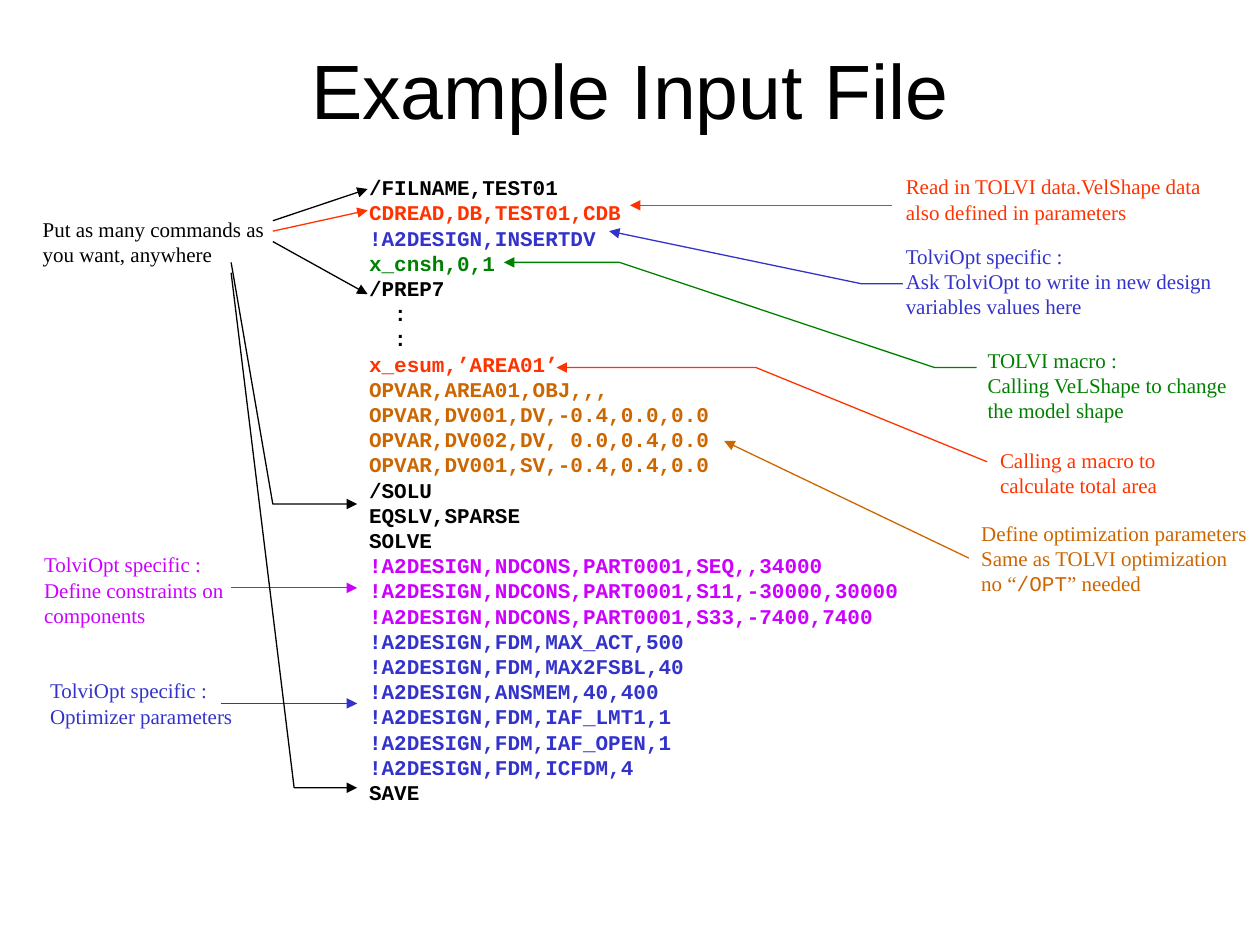
"""Build the slide of an annotated example input file."""
import pptx
import pptx.util
import pptx.dml.color
import pptx.enum.shapes
import pptx.enum.text
import pptx.oxml
import pptx.oxml.ns

Cm = pptx.util.Cm
Pt = pptx.util.Pt
RGBColor = pptx.dml.color.RGBColor
BLACK = RGBColor(0x00, 0x00, 0x00)
RED = RGBColor(0xFF, 0x33, 0x00)
BLUE = RGBColor(0x33, 0x33, 0xCC)
GREEN = RGBColor(0x00, 0x80, 0x00)
BROWN = RGBColor(0xCC, 0x66, 0x00)
PINK = RGBColor(0xCC, 0x00, 0xFF)
SERIF = {"name": "Times New Roman", "size": Pt(12)}
MONO = {"name": "Courier New", "size": Pt(12)}
BOLD = {**MONO, "bold": True}
HEAD = {"name": "Arial", "size": Pt(44)}


def add_run(para, text, form, color):
    run = para.add_run()
    run.text = text
    for key, val in form.items():
        setattr(run.font, key, val)
    run.font.color.rgb = color


def add_box(area, wrap):
    box = slide.shapes.add_textbox(*[Cm(num) for num in area])
    box.text_frame.word_wrap = wrap
    box.text_frame.auto_size = pptx.enum.text.MSO_AUTO_SIZE.SHAPE_TO_FIT_TEXT
    return box


deck = pptx.Presentation()
deck.slide_width, deck.slide_height = Cm(25.4), Cm(19.05)
slide = deck.slides.add_slide(deck.slide_layouts[5])

title = slide.shapes.title
place = {"left": Cm(1.91), "top": Cm(0.2), "width": Cm(21.59), "height": Cm(3.18)}
for key, val in place.items():
    setattr(title, key, val)
title.text_frame.vertical_anchor = pptx.enum.text.MSO_ANCHOR.MIDDLE
para = title.text_frame.paragraphs[0]
para.alignment = pptx.enum.text.PP_ALIGN.CENTER
add_run(para, "Example Input File", HEAD, BLACK)

code = [
    (BLACK, ["/FILNAME,TEST01"]),
    (RED, ["CDREAD,DB,TEST01,CDB"]),
    (BLUE, ["!A2DESIGN,INSERTDV"]),
    (GREEN, ["x_cnsh,0,1"]),
    (BLACK, ["/PREP7", ":", ":"]),
    (RED, ["x_esum,’AREA01’"]),
    (BROWN, ["OPVAR,AREA01,OBJ,,,",
             "OPVAR,DV001,DV,-0.4,0.0,0.0",
             "OPVAR,DV002,DV, 0.0,0.4,0.0",
             "OPVAR,DV001,SV,-0.4,0.4,0.0"]),
    (BLACK, ["/SOLU", "EQSLV,SPARSE", "SOLVE"]),
    (PINK, ["!A2DESIGN,NDCONS,PART0001,SEQ,,34000",
            "!A2DESIGN,NDCONS,PART0001,S11,-30000,30000",
            "!A2DESIGN,NDCONS,PART0001,S33,-7400,7400"]),
    (BLUE, ["!A2DESIGN,FDM,MAX_ACT,500",
            "!A2DESIGN,FDM,MAX2FSBL,40",
            "!A2DESIGN,ANSMEM,40,400",
            "!A2DESIGN,FDM,IAF_LMT1,1",
            "!A2DESIGN,FDM,IAF_OPEN,1",
            "!A2DESIGN,FDM,ICFDM,4"]),
    (BLACK, ["SAVE"]),
]
rows = [(color, text) for color, group in code for text in group]
frame = add_box((7.19, 3.4, 14.25, 13.97), True).text_frame
for num, (color, text) in enumerate(rows):
    para = frame.add_paragraph() if num else frame.paragraphs[0]
    if text == ":":
        para._p.get_or_add_pPr().set("marL", str(Pt(14.4)))
    add_run(para, text, BOLD, color)

labels = {
    "read": (RED, (18.01, 3.38, 6.76, 1.27),
             ["Read in TOLVI data.VelShape data", "also defined in parameters"]),
    "insert": (BLUE, (18.01, 4.78, 6.86, 1.78),
               ["TolviOpt specific :", "Ask TolviOpt to write in new design",
                "variables values here"]),
    "macro": (GREEN, (19.66, 6.88, 5.44, 1.78),
              ["TOLVI macro :", "Calling VeLShape to change", "the model shape"]),
    "area": (RED, (19.91, 8.89, 3.68, 1.27),
             ["Calling a macro to", "calculate total area"]),
    "define": (BROWN, (19.53, 10.36, 5.87, 1.78),
               ["Define optimization parameters", "Same as TOLVI optimization",
                "no “|/OPT|” needed"]),
    "limits": (PINK, (0.64, 11, 4.22, 1.78),
               ["TolviOpt specific :", "Define constraints on", "components"]),
    "tuning": (BLUE, (0.76, 13.54, 4.19, 1.27),
               ["TolviOpt specific :", "Optimizer parameters"]),
    "any": (BLACK, (0.61, 4.24, 4.98, 1.27),
            ["Put as many commands as", "you want, anywhere"]),
}
boxes = {}
for name, (color, area, lines) in labels.items():
    boxes[name] = add_box(area, False)
    frame = boxes[name].text_frame
    for num, text in enumerate(lines):
        para = frame.add_paragraph() if num else frame.paragraphs[0]
        for part, piece in enumerate(text.split("|")):
            add_run(para, piece, MONO if part % 2 else SERIF, color)

arrows = [
    (RED, [(17.99, 4.14), (12.7, 4.14)], None),
    (BLUE, [(18.2, 5.72), (17.36, 5.72), (12.28, 4.66)], None),
    (GREEN, [(19.69, 7.41), (18.84, 7.41), (12.49, 5.29), (10.16, 5.29)], None),
    (PINK, [(4.66, 11.85), (7.2, 11.85)], None),
    (BLUE, [(4.45, 14.18), (7.2, 14.18)], None),
    (BLACK, [(5.5, 4.87), (7.41, 5.93)], None),
    (BLACK, [(4.66, 5.29), (5.5, 10.16), (7.2, 10.16)], None),
    (RED, [(19.9, 9.31), (15.24, 7.41), (11.22, 7.41)], None),
    (BROWN, [(19.48, 11.22), (14.6, 8.89)], "define"),
    (BLACK, [(4.66, 5.5), (5.93, 15.88), (7.2, 15.88)], None),
    (BLACK, [(5.5, 4.45), (7.41, 3.81)], None),
    (RED, [(5.5, 4.66), (7.41, 4.24)], None),
]
for color, points, source in arrows:
    spots = [(Cm(x), Cm(y)) for x, y in points]
    if len(spots) == 2:
        kind = pptx.enum.shapes.MSO_CONNECTOR.STRAIGHT
        arrow = slide.shapes.add_connector(kind, *spots[0], *spots[1])
        if source:
            arrow.begin_connect(boxes[source], 1)
    else:
        build = slide.shapes.build_freeform(*spots[0])
        build.add_line_segments(spots[1:], close=False)
        arrow = build.convert_to_shape()
        arrow.fill.background()
    arrow.line.color.rgb = color
    arrow.line.width = Pt(0.75)
    props = arrow._element.spPr
    tip = pptx.oxml.parse_xml(
        f'<a:tailEnd {pptx.oxml.ns.nsdecls("a")} type="triangle"/>')
    props.find(pptx.oxml.ns.qn("a:ln")).append(tip)
    props.append(pptx.oxml.parse_xml(f'<a:effectLst {pptx.oxml.ns.nsdecls("a")}/>'))

deck.save("out.pptx")
